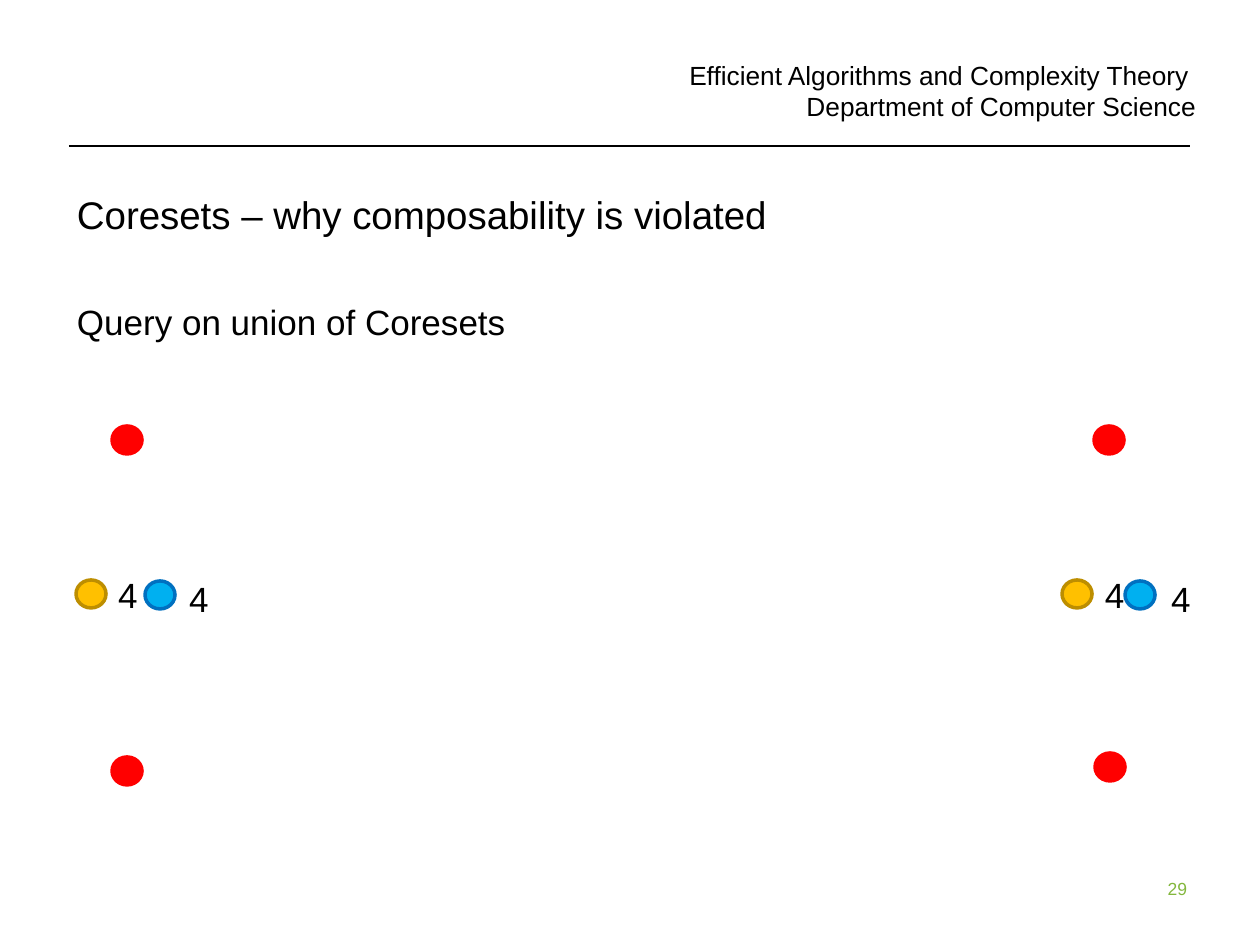
from dataclasses import dataclass

from lxml import etree
from pptx import Presentation
from pptx.dml.color import RGBColor
from pptx.enum.shapes import MSO_CONNECTOR, MSO_SHAPE
from pptx.enum.text import MSO_ANCHOR, PP_ALIGN
from pptx.oxml.ns import qn
from pptx.util import Pt

EMU_PER_PX = 914400 / 126
FONT = "Arial"

BLACK = RGBColor(0x00, 0x00, 0x00)
GREEN = RGBColor(0x83, 0xB7, 0x3D)
RED = RGBColor(0xFF, 0x00, 0x00)
YELLOW = RGBColor(0xFF, 0xC0, 0x00)
DARK_YELLOW = RGBColor(0xBD, 0x8E, 0x00)
BLUE = RGBColor(0x00, 0xB0, 0xF0)
DARK_BLUE = RGBColor(0x00, 0x70, 0xC0)

LEFT, RIGHT = PP_ALIGN.LEFT, PP_ALIGN.RIGHT
TOP, MIDDLE, BOTTOM = MSO_ANCHOR.TOP, MSO_ANCHOR.MIDDLE, MSO_ANCHOR.BOTTOM
STRAIGHT = MSO_CONNECTOR.STRAIGHT
OVAL = MSO_SHAPE.OVAL

DOT_W, DOT_H = 30, 28
WEIGHT_W, WEIGHT_H = 45, 55


@dataclass(frozen=True)
class Label:
    lines: tuple[str, ...]
    x: int
    y: int
    w: int
    h: int
    size: int
    color: RGBColor = BLACK
    align: PP_ALIGN = LEFT
    anchor: MSO_ANCHOR = TOP
    margins: tuple[int, int, int, int] = (13, 6, 13, 6)
    wrap: bool = True


@dataclass(frozen=True)
class Dot:
    x: int
    y: int
    fill: RGBColor
    outline: RGBColor


LABELS = [
    Label(("29",), 1029, 872, 158, 63, 10, GREEN, RIGHT, margins=(13, 6, 0, 6)),
    Label(
        ("Efficient Algorithms and Complexity Theory ", "Department of Computer Science"),
        660, 59, 536, 63, 15, align=RIGHT, anchor=BOTTOM, margins=(0, 0, 0, 0),
    ),
    Label(("Coresets – why composability is violated",), 64, 146, 1120, 136, 22, anchor=MIDDLE),
    Label(("Query on union of Coresets",), 64, 294, 1120, 546, 20),
]
WEIGHTS = [
    Label(("4",), x, y, WEIGHT_W, WEIGHT_H, 20, wrap=False)
    for x, y in ((105, 567), (1092, 567), (176, 571), (1158, 571))
]
DOTS = [
    *(Dot(x, 580, YELLOW, DARK_YELLOW) for x in (76, 1062)),
    *(Dot(x, 581, BLUE, DARK_BLUE) for x in (145, 1125)),
    *(Dot(x, y, RED, RED) for x, y in ((112, 426), (112, 757), (1095, 753), (1094, 426))),
]


def px(n: int) -> int:
    """Turn pixels into EMU."""
    return round(n * EMU_PER_PX)


def add_label(slide, label: Label) -> None:
    box = slide.shapes.add_textbox(*map(px, (label.x, label.y, label.w, label.h)))
    tf = box.text_frame
    left, top, right, bottom = map(px, label.margins)
    frame_format = {
        "word_wrap": label.wrap,
        "vertical_anchor": label.anchor,
        "margin_left": left,
        "margin_top": top,
        "margin_right": right,
        "margin_bottom": bottom,
    }
    for name, value in frame_format.items():
        setattr(tf, name, value)
    for i, line in enumerate(label.lines):
        p = tf.add_paragraph() if i else tf.paragraphs[0]
        p.alignment = label.align
        r = p.add_run()
        r.text = line
        for name, value in {"name": FONT, "size": Pt(label.size)}.items():
            setattr(r.font, name, value)
        r.font.color.rgb = label.color


def add_dot(slide, dot: Dot) -> None:
    sp = slide.shapes.add_shape(OVAL, *map(px, (dot.x, dot.y, DOT_W, DOT_H)))
    sp.shadow.inherit = False
    sp.fill.solid()
    sp.fill.fore_color.rgb = dot.fill
    sp.line.color.rgb = dot.outline
    sp.line.width = Pt(2)


def add_header_rule(slide) -> None:
    rule = slide.shapes.add_connector(STRAIGHT, *map(px, (69, 146, 1190, 146)))
    rule.line.color.rgb = BLACK
    rule.line.width = Pt(0.75)
    etree.SubElement(rule._element.spPr, qn("a:effectLst"))


def main() -> None:
    prs = Presentation()
    prs.slide_width, prs.slide_height = px(1260), px(945)
    slide = prs.slides.add_slide(prs.slide_layouts[6])
    add_header_rule(slide)
    for label in LABELS + WEIGHTS:
        add_label(slide, label)
    for dot in DOTS:
        add_dot(slide, dot)
    prs.save("out.pptx")


if __name__ == "__main__":
    main()
